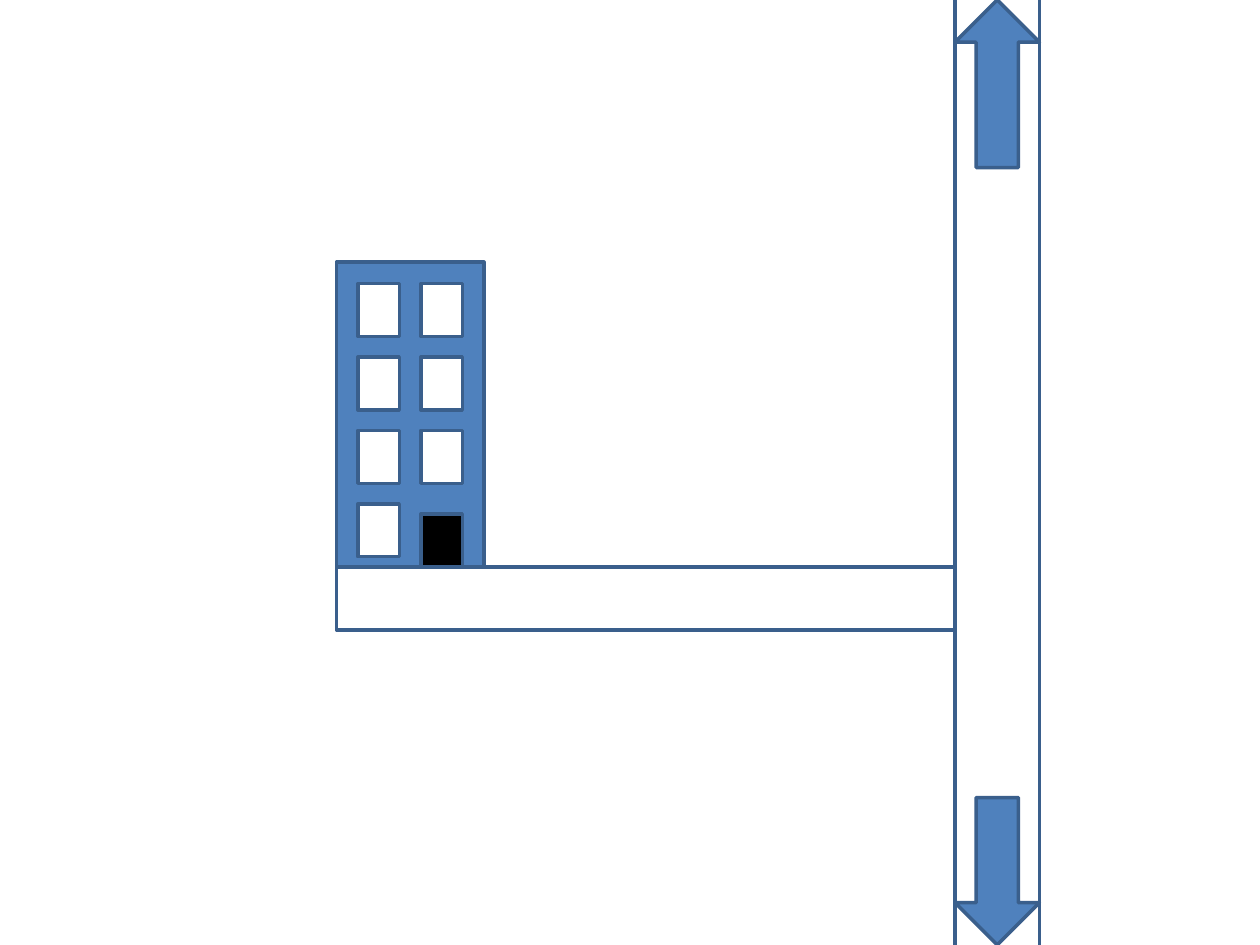
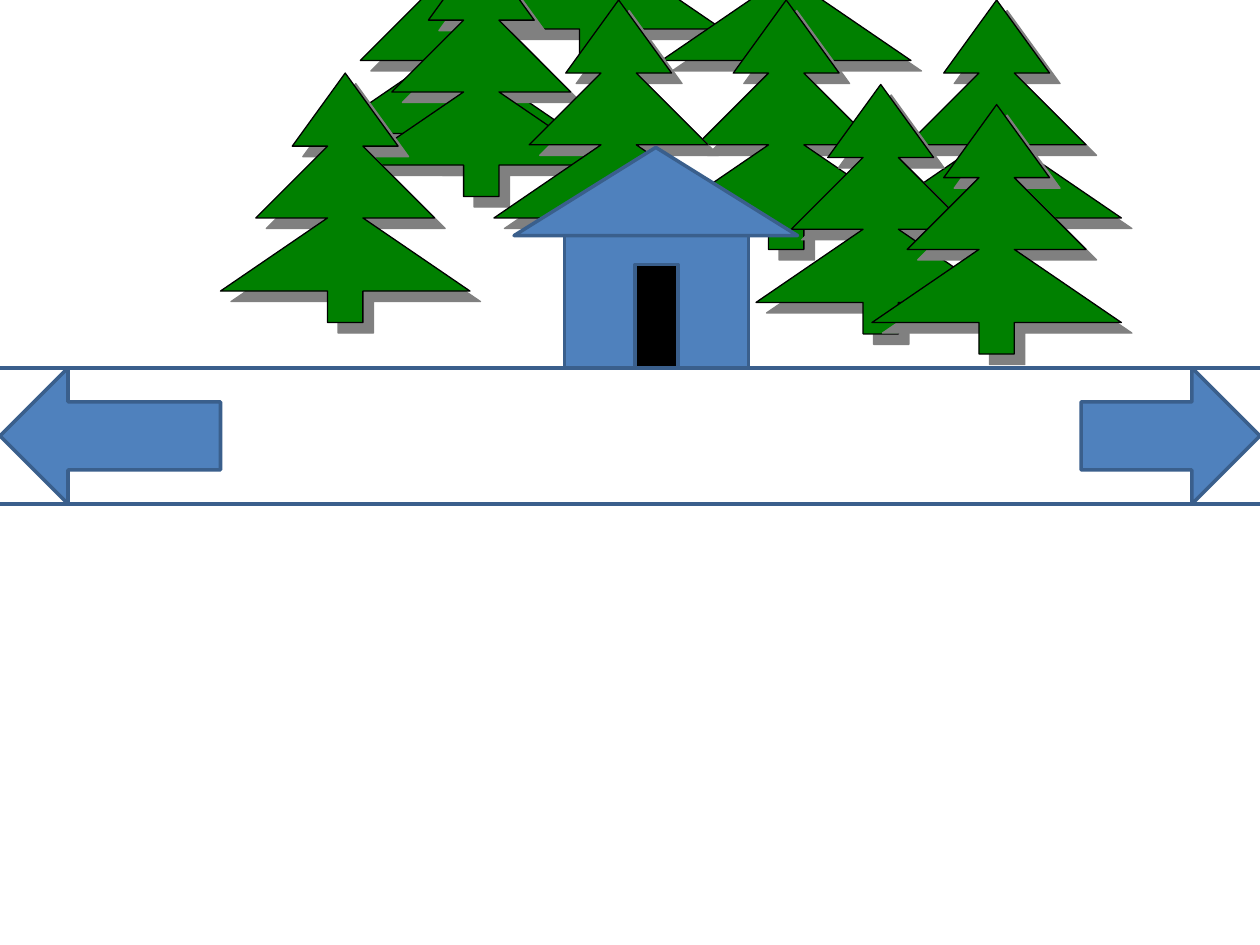
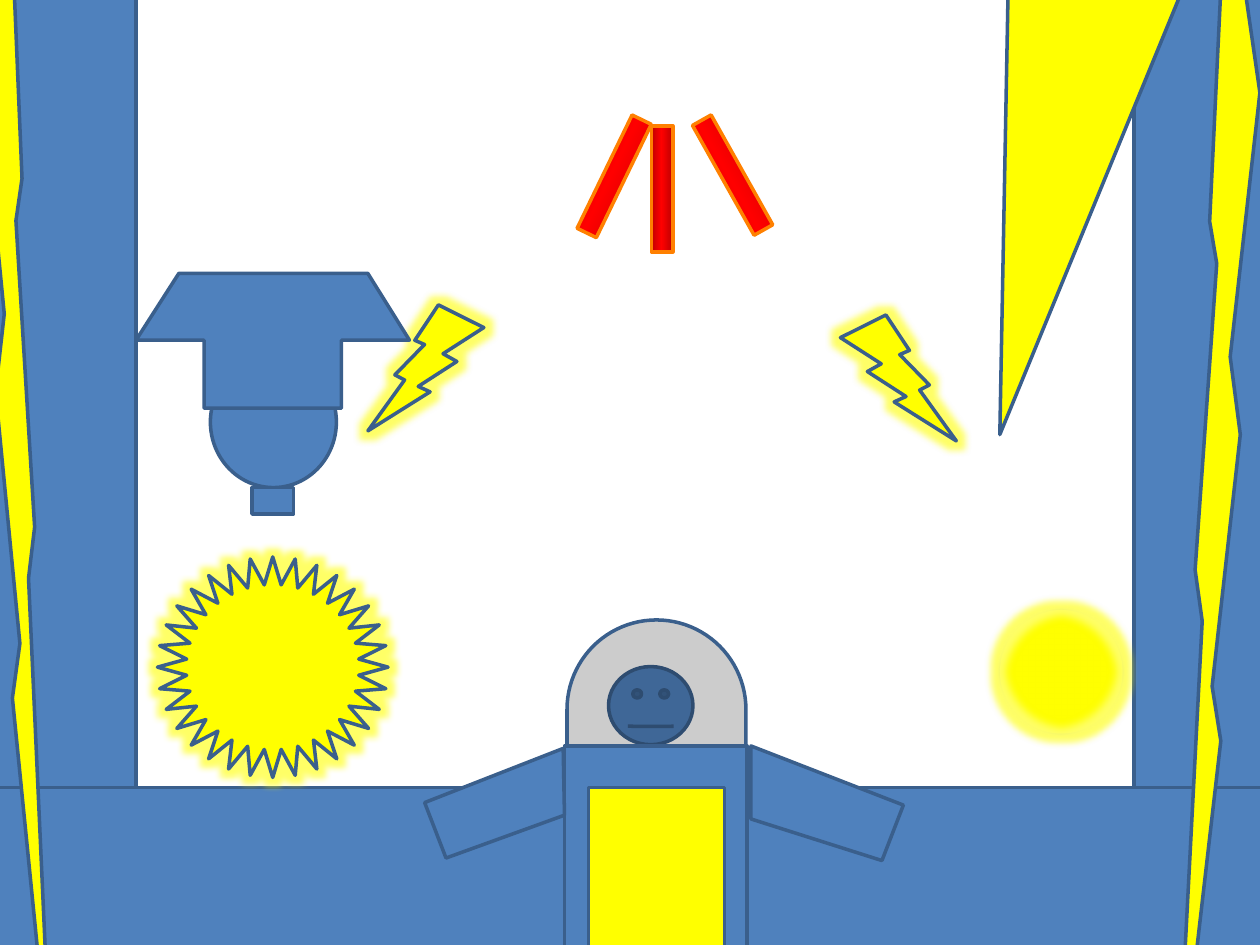
from copy import deepcopy

from lxml import etree
from pptx import Presentation
from pptx.dml.color import RGBColor
from pptx.enum import shapes
from pptx.oxml import ns
from pptx.util import Inches, Pt

COLORS = {
    "blue": "4F81BD", "outline": "3A5F8C", "white": "FFFFFF",
    "black": "000000", "green": "008000", "gray": "808080",
    "yellow": "FFFF00", "red": "FF0000", "crimson": "C00000",
    "orange": "FF8000",
}
KIND = shapes.MSO_SHAPE
TREE_EDGE = [(0, 0), (0.42, 0.58), (0.14, 0.58), (0.71, 1.15),
             (0.14, 1.15), (0.99, 1.73), (0.14, 1.73), (0.14, 1.98)]
TREE_HALF = 0.99


def rgb(name):
    return RGBColor.from_string(COLORS[name])


def paint(shape, fill="blue", line="outline", width=2):
    shape.shadow.inherit = False
    shape.fill.solid()
    shape.fill.fore_color.rgb = rgb(fill)
    shape.line.color.rgb = rgb(line)
    shape.line.width = Pt(width)
    return shape


def draw(canvas, kind, left, top, width, height, fill="blue",
         line="outline", turn=0, flip=False):
    shape = canvas.add_shape(kind, Inches(left), Inches(top),
                             Inches(width), Inches(height))
    shape.rotation = turn
    if flip:
        shape._element.spPr.xfrm.set("flipH", "1")
    return paint(shape, fill, line)


def outline(canvas, points, **style):
    corners = [(Inches(x), Inches(y)) for x, y in points]
    builder = canvas.build_freeform(*corners[0])
    builder.add_line_segments(corners[1:], close=True)
    return paint(builder.convert_to_shape(), **style)


def add_effect(shape, tag, color=None, alpha=100, **settings):
    effects = shape._element.spPr.find(ns.qn("a:effectLst"))
    effect = etree.SubElement(effects, ns.qn("a:" + tag))
    for name, value in settings.items():
        effect.set(name, str(value))
    if color:
        tint = etree.SubElement(effect, ns.qn("a:srgbClr"), val=COLORS[color])
        etree.SubElement(tint, ns.qn("a:alpha"), val=str(alpha * 1000))


def glow(shape):
    add_effect(shape, "glow", "yellow", 60, rad=Inches(0.11))


def tower(page, left, top):
    group = page.shapes.add_group_shape().shapes
    draw(group, KIND.RECTANGLE, left, top, 1.17, 2.42)
    for row in range(4):
        for column in range(2):
            is_door = (row, column) == (3, 1)
            drop = 2.0 if is_door else 0.17 + row * 0.583
            draw(group, KIND.RECTANGLE, left + 0.17 + column * 0.5, top + drop,
                 0.33, 0.42, "black" if is_door else "white")


def tree(page, left, top):
    center = left + TREE_HALF
    right = [(center + x, top + y) for x, y in TREE_EDGE]
    mirrored = [(center - x, top + y) for x, y in reversed(TREE_EDGE[1:])]
    shape = outline(page.shapes, right + mirrored,
                    fill="green", line="black", width=0.75)
    add_effect(shape, "outerShdw", "gray", dist=Pt(8.5),
               dir=45 * 60000, algn="ctr", rotWithShape=0)


def cottage(page, left, top):
    group = page.shapes.add_group_shape().shapes
    draw(group, KIND.RECTANGLE, left + 0.4, top + 0.7, 1.46, 1.05)
    draw(group, KIND.ISOSCELES_TRIANGLE, left, top, 2.25, 0.7)
    draw(group, KIND.FLOWCHART_PROCESS, left + 0.96, top + 0.93, 0.34, 0.82,
         "black")


def figure(page, left, top):
    group = page.shapes.add_group_shape().shapes
    face = draw(group, KIND.SMILEY_FACE, left + 1.46, top + 0.37, 0.67, 0.62)
    face.adjustments[0] = 0.001
    hood = draw(group, KIND.ROUND_2_SAME_RECTANGLE, left + 1.13, top,
                1.42, 1.42, "black")
    hood.adjustments[0] = 0.5
    hood.adjustments[1] = 0
    shade = hood._element.spPr.find(ns.qn("a:solidFill"))[0]
    etree.SubElement(shade, ns.qn("a:alpha"), val="20000")
    draw(group, KIND.RECTANGLE, left + 1.11, top + 1, 1.45, 1.98)
    sleeves = [[(2.59, 1), (3.8, 1.47), (3.63, 1.91), (2.59, 1.58)],
               [(0, 1.45), (1.1, 1.02), (1.11, 1.55), (0.17, 1.89)]]
    for sleeve in sleeves:
        outline(group, [(left + x, top + y) for x, y in sleeve])
    draw(page.shapes, KIND.RECTANGLE, left + 1.3, top + 1.33, 1.08, 1.83,
         "yellow")


def hanging_bell(page, left, top):
    group = page.shapes.add_group_shape().shapes
    draw(group, KIND.OVAL, left + 0.59, top + 0.66, 1, 1.04)
    draw(group, KIND.RECTANGLE, left + 0.92, top + 1.7, 0.33, 0.21)
    cap = [(0, 0.53), (0.34, 0), (1.84, 0), (2.17, 0.53), (1.63, 0.53),
           (1.63, 1.07), (0.54, 1.07), (0.54, 0.53)]
    outline(page.shapes, [(left + x, top + y) for x, y in cap])


def red_bar(page, left, top, turn):
    bar = draw(page.shapes, KIND.RECTANGLE, left, top, 0.17, 1,
               line="orange", turn=turn)
    bar.fill.gradient()
    bar.fill.gradient_angle = 0
    stop_list = bar._element.spPr.find(".//" + ns.qn("a:gsLst"))
    stop_list.append(deepcopy(stop_list[0]))
    bands = [(0, "crimson"), (0.47, "red"), (1, "crimson")]
    for stop, (position, color) in zip(bar.fill.gradient_stops, bands):
        stop.position = position
        stop.color.rgb = rgb(color)


def street_slide(page):
    draw(page.shapes, KIND.RECTANGLE, 2.67, 4.5, 4.92, 0.5, "white")
    draw(page.shapes, KIND.RECTANGLE, 7.58, -0.17, 0.67, 8.08, "white")
    draw(page.shapes, KIND.UP_ARROW, 7.58, 0, 0.67, 1.33)
    tower(page, 2.67, 2.08)
    draw(page.shapes, KIND.DOWN_ARROW, 7.58, 6.33, 0.67, 1.17)


def forest_slide(page):
    for spot in [(3.75, -1.5), (5.25, -1.25), (5.25, 0), (2.58, -0.67),
                 (6.92, 0)]:
        tree(page, *spot)
    draw(page.shapes, KIND.RECTANGLE, -1.5, 2.92, 13.08, 1.08, "white")
    draw(page.shapes, KIND.LEFT_ARROW, 0, 2.92, 1.75, 1.08)
    for spot in [(6, 0.67), (2.83, -0.42), (6.92, 0.83)]:
        tree(page, *spot)
    draw(page.shapes, KIND.RIGHT_ARROW, 8.58, 2.92, 1.42, 1.08)
    for spot in [(1.75, 0.58), (3.92, 0)]:
        tree(page, *spot)
    cottage(page, 4.08, 1.17)


def chamber_slide(page):
    canvas = page.shapes
    for wall in [(9, -1.25, 2.08, 9.33), (-1.25, -1.58, 2.33, 10.5),
                 (-1.58, 6.25, 12.83, 2.17)]:
        draw(canvas, KIND.RECTANGLE, *wall)
    figure(page, 3.37, 4.92)
    for left, top, flip in [(2.92, 2.42, True), (6.67, 2.5, False)]:
        glow(draw(canvas, KIND.LIGHTNING_BOLT, left, top, 0.92, 1, "yellow",
                  flip=flip))
    glow(draw(canvas, KIND.STAR_32_POINT, 1.25, 4.42, 1.83, 1.75, "yellow"))
    draw(canvas, KIND.LIGHTNING_BOLT, -0.17, -1.42, 0.58, 10.08, "yellow")
    draw(canvas, KIND.LIGHTNING_BOLT, 9.33, -1.08, 0.67, 10.08, "yellow",
         flip=True)
    orb = draw(canvas, KIND.OVAL, 7.92, 4.83, 1, 1, "yellow")
    glow(orb)
    add_effect(orb, "softEdge", rad=Inches(0.07))
    hanging_bell(page, 1.08, 2.17)
    for bar in [(4.79, 0.9, 25.9), (5.17, 1, 0), (5.73, 0.89, 330.7)]:
        red_bar(page, *bar)
    draw(canvas, KIND.LIGHTNING_BOLT, 5.75, -6.33, 5.67, 9, "yellow",
         turn=334.8, flip=True)


def main():
    deck = Presentation()
    deck.slide_width = Inches(10)
    deck.slide_height = Inches(7.5)
    for build in (street_slide, forest_slide, chamber_slide):
        build(deck.slides.add_slide(deck.slide_layouts[6]))
    deck.save("out.pptx")


if __name__ == "__main__":
    main()
